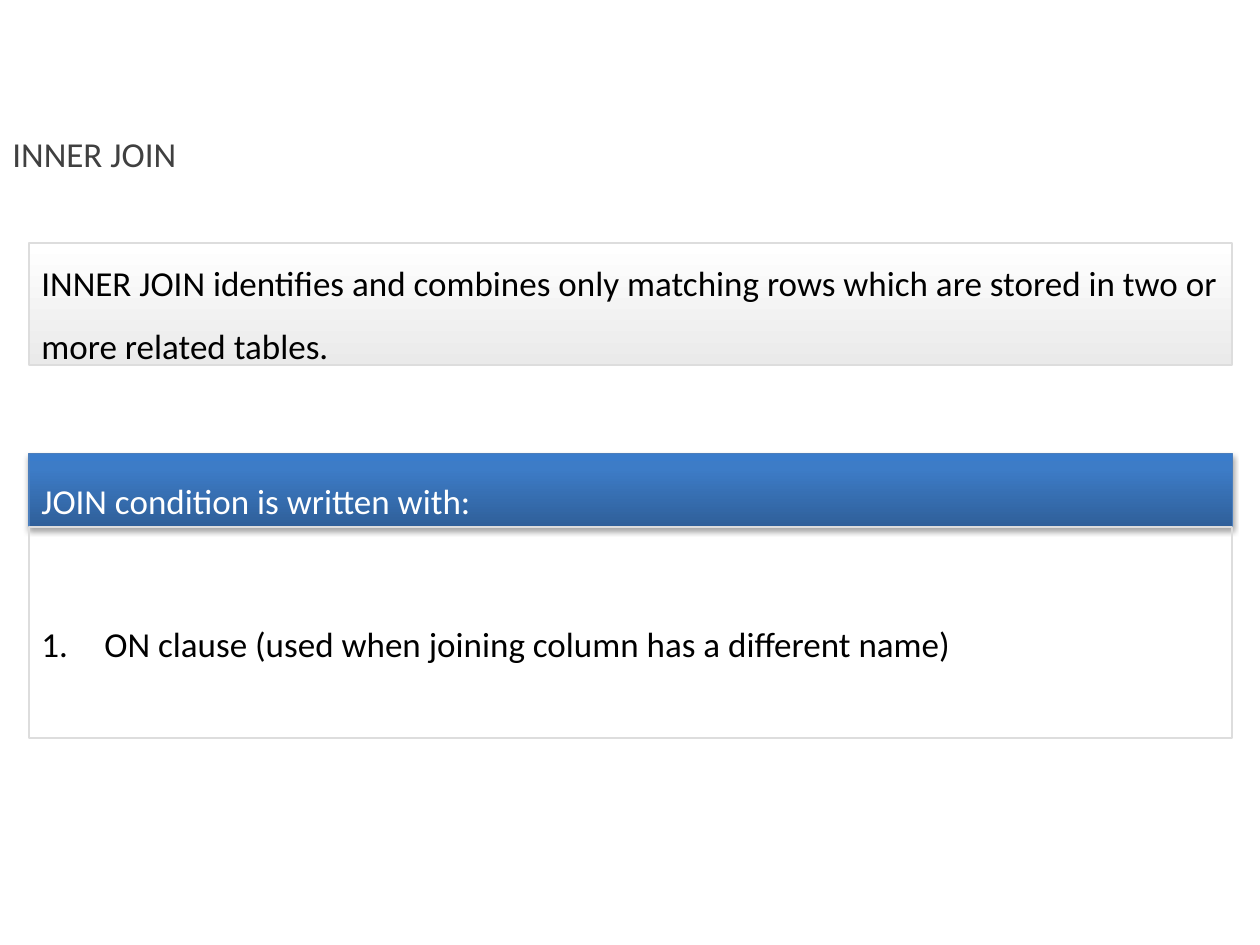
from lxml import etree
from pptx import Presentation, util as u
from pptx.dml.color import RGBColor
from pptx.enum import shapes, text
from pptx.oxml import ns

BLACK = RGBColor(0, 0, 0)
WHITE = RGBColor(255, 255, 255)
GREY = RGBColor(0x40, 0x40, 0x40)
PALE = RGBColor(0xEA, 0xEA, 0xEA)
EDGE = RGBColor(0xDD, 0xDD, 0xDD)
RIM = RGBColor(0x4B, 0x7E, 0xBC)
NAVY = RGBColor(0x2F, 0x5F, 0x99)
BLUE = RGBColor(0x3D, 0x7C, 0xC7)
SKY = RGBColor(0x3A, 0x7C, 0xCB)

WIDE, HIGH = u.Inches(10), u.Inches(7.5)
LEFT, SPAN = 0.023 * WIDE, 0.955 * WIDE


def node(up, tag, **attrs):
    return etree.SubElement(up, ns.qn(tag), attrs)


def write(shape, words, color=BLACK, hang=0, number=False):
    frame = shape.text_frame
    frame.word_wrap = True
    para = frame.paragraphs[0]
    para.alignment = text.PP_ALIGN.LEFT
    para.line_spacing = 1.5
    if hang:
        props = para._p.get_or_add_pPr()
        props.set("marL", str(u.Inches(hang)))
        props.set("indent", str(-u.Inches(hang)))
        if number:
            node(props, "a:buFont", typeface="+mj-lt")
            node(props, "a:buAutoNum", type="arabicPeriod")
    run = para.add_run()
    run.text = words
    run.font.size = u.Pt(20)
    run.font.name = "Calibri"
    run.font.color.rgb = color


def shade(shape, stops, angle):
    shape.fill.gradient()
    shape.fill.gradient_angle = angle
    ramp = shape.element.spPr.find(".//" + ns.qn("a:gsLst"))
    ramp.clear()
    for share, color in stops:
        stop = node(ramp, "a:gs", pos=str(share * 1000))
        node(stop, "a:srgbClr", val=str(color))


def cast(shape):
    list_ = shape.element.spPr.find(ns.qn("a:effectLst"))
    drop = node(list_, "a:outerShdw", blurRad=str(u.Pt(3.1)),
                dist=str(u.Pt(1.8)), dir="5400000", rotWithShape="0")
    tint = node(drop, "a:srgbClr", val=str(BLACK))
    node(tint, "a:alpha", val="35000")


def panel(slide, top, tall, edge=EDGE, width=1):
    box = slide.shapes.add_shape(shapes.MSO_SHAPE.RECTANGLE, int(LEFT),
                                 int(top * HIGH), int(SPAN), int(tall * HIGH))
    box.shadow.inherit = False
    box.fill.background()
    box.line.color.rgb = edge
    box.line.width = u.Pt(width)
    frame = box.text_frame
    frame.vertical_anchor = text.MSO_ANCHOR.MIDDLE
    frame.margin_top = frame.margin_bottom = 0
    return box


def title(slide, words):
    box = slide.shapes.add_textbox(0, int(0.111 * HIGH), int(0.709 * WIDE),
                                   int(0.072 * HIGH))
    write(box, words, color=GREY)
    box.text_frame.auto_size = text.MSO_AUTO_SIZE.SHAPE_TO_FIT_TEXT


def main():
    deck = Presentation()
    deck.slide_width, deck.slide_height = WIDE, HIGH
    slide = deck.slides.add_slide(deck.slide_layouts[6])

    title(slide, "INNER JOIN")

    intro = panel(slide, 0.257, 0.129)
    shade(intro, [(0, WHITE), (100, PALE)], 270)
    write(intro, "INNER JOIN identifies and combines only matching rows "
                 "which are stored in two or more related tables.")

    head = panel(slide, 0.48, 0.078, edge=RIM, width=0.75)
    shade(head, [(0, NAVY), (80, BLUE), (100, SKY)], 90)
    cast(head)
    write(head, "JOIN condition is written with:", color=WHITE, hang=0.25)

    body = panel(slide, 0.558, 0.223)
    write(body, "ON clause (used when joining column has a different name)",
          hang=0.5, number=True)

    deck.save("out.pptx")


if __name__ == "__main__":
    main()
